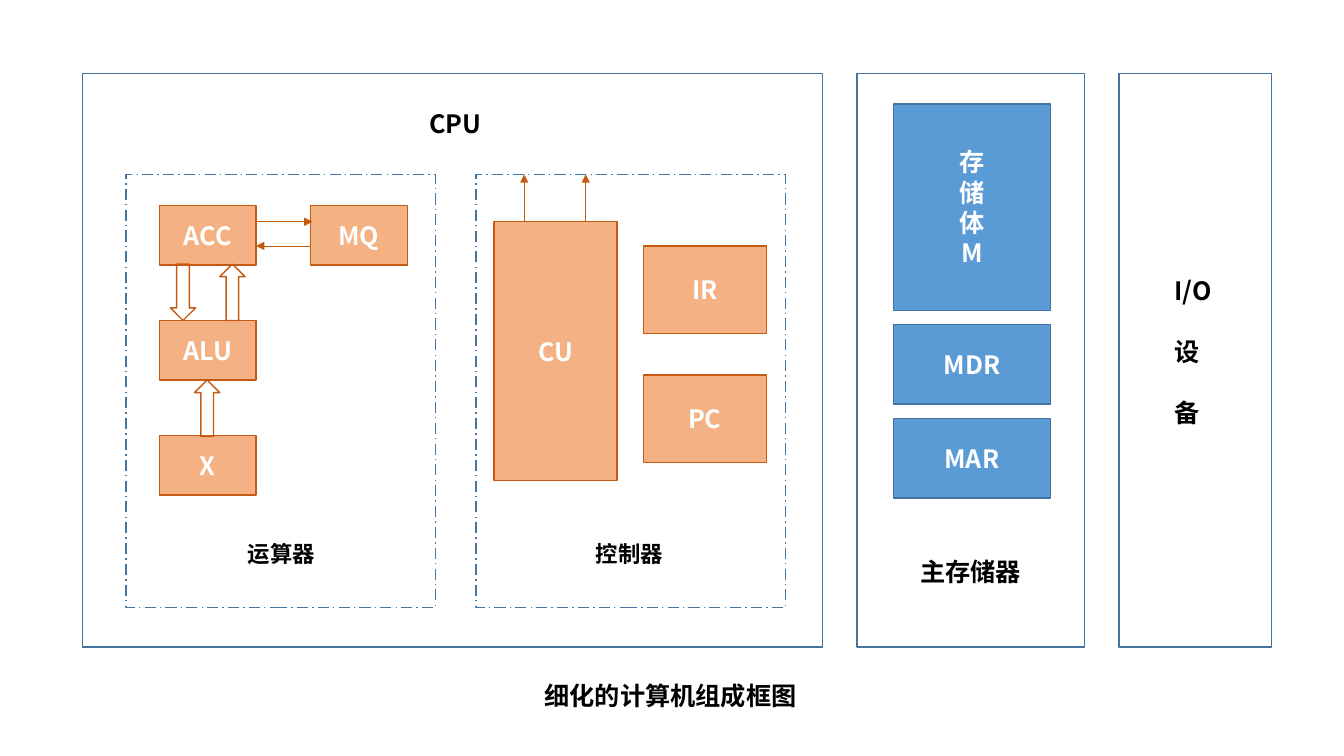
from pptx import Presentation
from pptx.dml.color import RGBColor
from pptx.enum.dml import MSO_LINE
from pptx.enum.shapes import MSO_CONNECTOR, MSO_SHAPE
from pptx.enum.text import MSO_ANCHOR, MSO_AUTO_SIZE, PP_ALIGN
from pptx.oxml.ns import qn
from pptx.util import Inches, Pt
from lxml.etree import SubElement

BLACK = RGBColor(0x00, 0x00, 0x00)
WHITE = RGBColor(0xFF, 0xFF, 0xFF)
NAVY = RGBColor(0x43, 0x73, 0x9E)
BLUE = RGBColor(0x5B, 0x9B, 0xD5)
RUST = RGBColor(0xC5, 0x5A, 0x11)
PEACH = RGBColor(0xF4, 0xB1, 0x83)


class Diagram:
    """Holds the style and the current slide."""

    font = "Noto Sans CJK SC"

    def __init__(self, slide):
        """Keep the slide to draw on."""
        self.slide = slide

    def letter(self, shape, text, color, size=18, align=PP_ALIGN.LEFT, gap=0):
        """Put bold text in a shape, one paragraph per line."""
        frame = shape.text_frame
        frame.text = text
        for index, para in enumerate(frame.paragraphs):
            para.alignment = align
            para.space_before = Pt(gap if index else 0)
            for run in para.runs:
                run.font.name = self.font
                run.font.size = Pt(size)
                run.font.bold = True
                run.font.color.rgb = color
                SubElement(run.font._element, qn("a:ea"), typeface=self.font)

    def shape(self, x, y, w, h, line, fill=None, kind=MSO_SHAPE.RECTANGLE):
        """Draw an outlined preset shape, filled if a fill is given."""
        item = self.slide.shapes.add_shape(
            kind, Inches(x), Inches(y), Inches(w), Inches(h))
        item.shadow.inherit = False
        item.line.color.rgb = line
        item.line.width = Pt(1)
        if fill is None:
            item.fill.background()
        else:
            item.fill.solid()
            item.fill.fore_color.rgb = fill
        return item

    def unit(self, text, x, y, w, h, line=RUST, fill=PEACH):
        """Draw a filled box with a centred white name."""
        item = self.shape(x, y, w, h, line, fill)
        item.text_frame.vertical_anchor = MSO_ANCHOR.MIDDLE
        self.letter(item, text, WHITE, align=PP_ALIGN.CENTER)

    def fit(self, frame):
        """Let a text frame grow with its unwrapped text."""
        frame.word_wrap = False
        frame.auto_size = MSO_AUTO_SIZE.SHAPE_TO_FIT_TEXT
        frame.vertical_anchor = MSO_ANCHOR.TOP

    def label(self, text, x, y, w, h, size=18, gap=0):
        """Add black text without a box."""
        item = self.slide.shapes.add_textbox(
            Inches(x), Inches(y), Inches(w), Inches(h))
        self.fit(item.text_frame)
        self.letter(item, text, BLACK, size, gap=gap)

    def title(self, text, x, y, w, h):
        """Move the title placeholder and fill it."""
        item = self.slide.shapes.title
        item.left, item.top = Inches(x), Inches(y)
        item.width, item.height = Inches(w), Inches(h)
        self.fit(item.text_frame)
        self.letter(item, text, BLACK)

    def arrow(self, x1, y1, x2, y2):
        """Draw a thin line with a triangle at its end."""
        item = self.slide.shapes.add_connector(
            MSO_CONNECTOR.STRAIGHT,
            Inches(x1), Inches(y1), Inches(x2), Inches(y2))
        item.line.color.rgb = RUST
        item.line.width = Pt(0.5)
        props = item._element.spPr
        SubElement(props.find(qn("a:ln")), qn("a:tailEnd"), type="triangle")
        SubElement(props, qn("a:effectLst"))


deck = Presentation()
deck.slide_width, deck.slide_height = Inches(13.33), Inches(7.5)
art = Diagram(deck.slides.add_slide(deck.slide_layouts[5]))

# CPU, main memory and I/O frames
for x, w in ((0.82, 7.34), (8.5, 2.26), (11.1, 1.51)):
    art.shape(x, 0.73, w, 5.69, NAVY)

# Arithmetic unit and control unit frames
for x in (1.25, 4.72):
    art.shape(x, 1.73, 3.07, 4.3, NAVY).line.dash_style = MSO_LINE.LONG_DASH_DOT

art.label("CPU", 4.16, 1.03, 0.73, 0.4)
art.label("运算器", 2.36, 5.31, 0.88, 0.37, 16)
art.label("控制器", 5.81, 5.31, 0.88, 0.37, 16)
art.label("主存储器", 9.03, 5.47, 1.22, 0.4)
art.label("I/O\n设\n备", 11.55, 2.68, 0.61, 1.62, gap=22)
art.title("细化的计算机组成框图", 5.3, 6.7, 2.73, 0.4)

# Main memory
for text, y, h in (("存\n储\n体\nM", 1.03, 2.05),
                   ("MDR", 3.22, 0.79), ("MAR", 4.15, 0.79)):
    art.unit(text, 8.86, y, 1.56, h, NAVY, BLUE)

# Arithmetic unit: a column of registers, with MQ beside ACC
for row, text in enumerate(("ACC", "ALU", "X")):
    art.unit(text, 1.58, 2.04 + row * 1.14, 0.96, 0.59)
art.unit("MQ", 3.08, 2.04, 0.96, 0.59)
for x, y, kind in ((1.69, 2.62, MSO_SHAPE.DOWN_ARROW),
                   (2.18, 2.62, MSO_SHAPE.UP_ARROW),
                   (1.93, 3.77, MSO_SHAPE.UP_ARROW)):
    art.shape(x, y, 0.25, 0.56, RUST, kind=kind)
art.arrow(3.08, 2.44, 2.54, 2.44)
art.arrow(2.54, 2.2, 3.1, 2.2)

# Control unit
art.unit("CU", 4.9, 2.2, 1.22, 2.57)
for text, y in (("IR", 2.44), ("PC", 3.72)):
    art.unit(text, 6.38, y, 1.22, 0.87)
for x in (5.2, 5.81):
    art.arrow(x, 2.2, x, 1.73)

deck.save("out.pptx")
